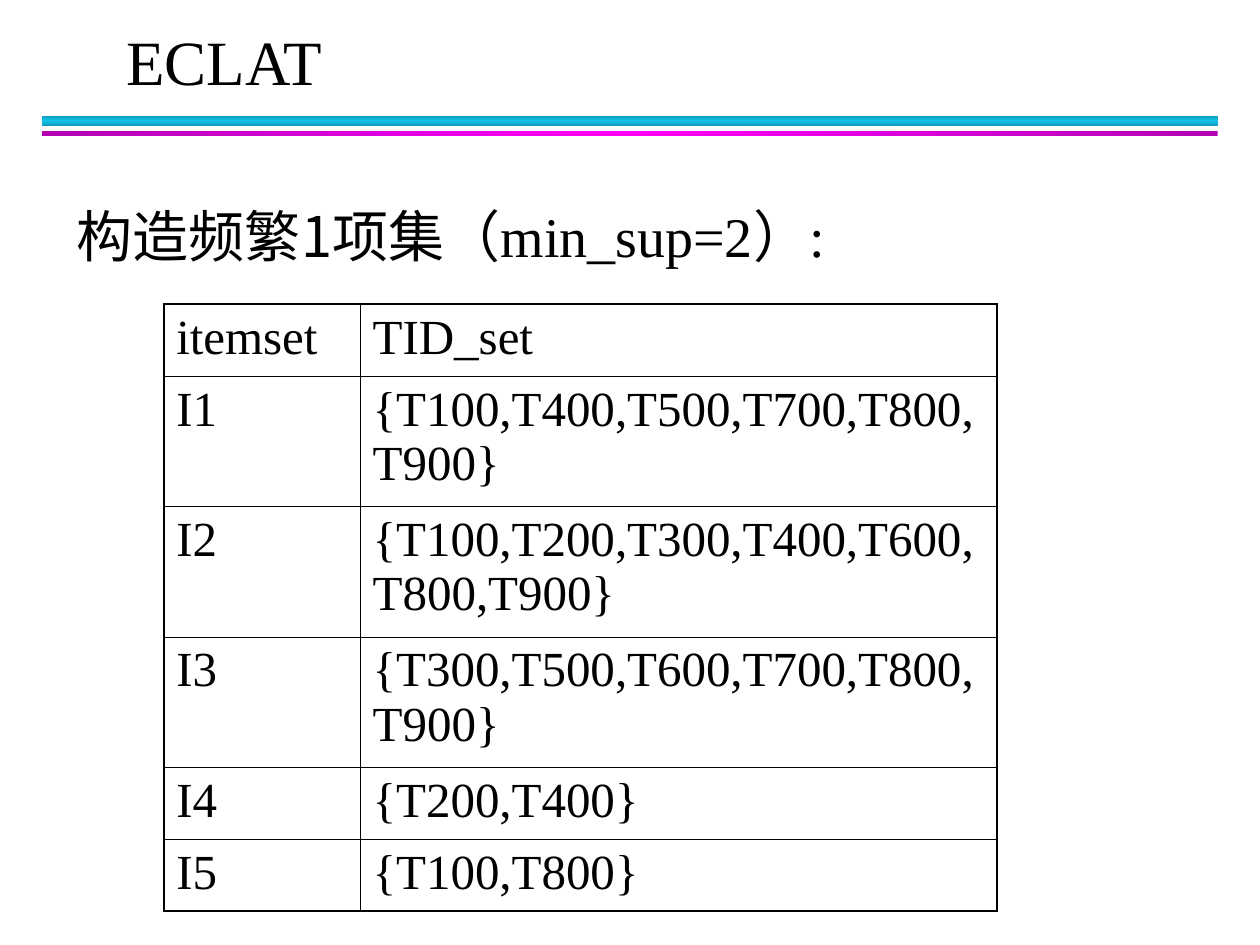
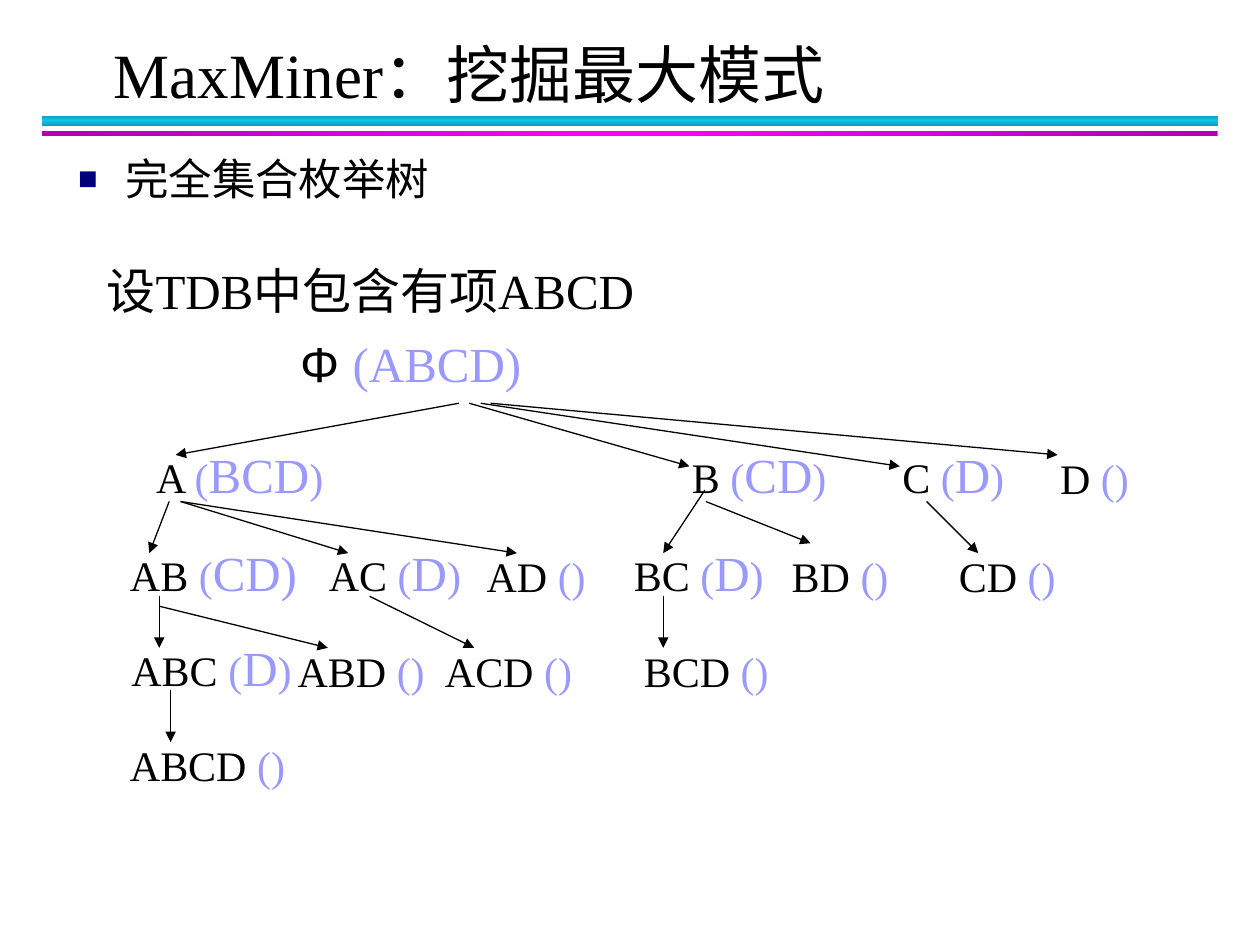
import copy

import lxml.etree
import pptx
import pptx.dml.color
import pptx.enum.shapes
import pptx.enum.text
import pptx.oxml
import pptx.oxml.ns
import pptx.util

Cm = pptx.util.Cm
Pt = pptx.util.Pt
qn = pptx.oxml.ns.qn
ANCHOR = pptx.enum.text.MSO_ANCHOR

COLOURS = {
    "ink": "000000",
    "candidate": "9999FF",
    "bullet": "00007D",
    "cyan edge": "0E9BBA",
    "cyan": "12C2E9",
    "magenta edge": "B200B2",
    "magenta": "FF00FF",
}
SERIF, SANS, CJK = "Times New Roman", "Arial", "Noto Sans CJK SC"

# top, height, edge colour, middle colour, angle
BANDS = [
    (2.33, 0.21, "cyan edge", "cyan", 90),
    (2.64, 0.1, "magenta edge", "magenta", 0),
]

ITEMSETS = [
    ("itemset", "TID_set"),
    ("I1", "{T100,T400,T500,T700,T800,T900}"),
    ("I2", "{T100,T200,T300,T400,T600,T800,T900}"),
    ("I3", "{T300,T500,T600,T700,T800,T900}"),
    ("I4", "{T200,T400}"),
    ("I5", "{T100,T800}"),
]

# Top of each tree level below the root, within the tree
LEVEL_TOPS = [2.24, 4.22, 6.13, 8.03]
# level, items, large candidates, left, width, arrow start x, arrow end x
NODES = [
    (0, "A", "BCD", 0.53, 4.05, 6.88, 1.17),
    (0, "B", "CD", 11.33, 3.35, 7.09, 11.53),
    (0, "C", "D", 15.57, 2.7, 7.32, 15.77),
    (0, "D", "", 18.75, 2.05, 7.52, 18.95),
    (1, "AB", "CD)", 0, 4, 1.04, 0.64),
    (1, "AC", "D", 4.01, 3.3, 1.27, 4.65),
    (1, "AD", "", 7.19, 2.65, 1.27, 8.05),
    (1, "BC", "D", 10.16, 3.25, 11.84, 11),
    (1, "BD", "", 13.34, 2.6, 11.86, 13.97),
    (1, "CD", "", 16.71, 2.6, 16.31, 17.35),
    (2, "ABC", "D", 0.03, 3.85, 0.84, 0.84),
    (2, "ABD", "", 3.38, 3.2, 0.84, 4.24),
    (2, "ACD", "", 6.35, 3.2, 5.08, 7.19),
    (2, "BCD", "", 10.36, 3.15, 11, 11),
    (3, "ABCD", "", 0, 3.75, 1.07, 1.07),
]
# Vertical shifts of arrow start and end that leave the level's rule
ARROW_SHIFTS = {"B": (0, 0.23), "C": (0, 0.23), "BC": (-0.23, 0),
                "BD": (0, -0.2), "ABD": (0.2, 0)}


def rgb(name):
    return pptx.dml.color.RGBColor.from_string(COLOURS[name])


def add_xml(parent, tag, **attributes):
    child = lxml.etree.SubElement(parent, qn(tag))
    for key, value in attributes.items():
        child.set(key, str(value))
    return child


def format_span(span, size, font=SERIF, colour="ink"):
    span.font.size = Pt(size)
    span.font.name = font
    span.font.color.rgb = rgb(colour)
    add_xml(span._r.get_or_add_rPr(), "a:ea", typeface=CJK)


def fill_para(para, *spans):
    """Each span is its text followed by size, font and colour."""
    for text, *look in spans:
        span = para.add_run()
        span.text = text
        format_span(span, *look)


def place(shape, left, top, width, height):
    shape.left, shape.top = Cm(left), Cm(top)
    shape.width, shape.height = Cm(width), Cm(height)


def add_text(page, box, *spans, wrap=True):
    shape = page.shapes.add_textbox(*map(Cm, box))
    shape.text_frame.word_wrap = wrap
    fill_para(shape.text_frame.paragraphs[0], *spans)


def set_placeholder(shape, box, text, size, anchor):
    place(shape, *box)
    frame = shape.text_frame
    frame.text = text
    frame.auto_size = pptx.enum.text.MSO_AUTO_SIZE.NONE
    frame.vertical_anchor = anchor
    para = frame.paragraphs[0]
    para.alignment = pptx.enum.text.PP_ALIGN.LEFT
    para.space_before = Pt(0)
    format_span(para.runs[0], size)
    return para


def add_bands(page):
    for top, height, edge, middle, angle in BANDS:
        band = page.shapes.add_shape(
            pptx.enum.shapes.MSO_SHAPE.RECTANGLE,
            Cm(0.84), Cm(top), Cm(23.71), Cm(height))
        band.shadow.inherit = False
        band.line.fill.background()
        band.fill.gradient()
        band.fill.gradient_angle = angle
        stop_list = band._element.spPr.find(".//" + qn("a:gsLst"))
        stop_list.append(copy.deepcopy(stop_list[0]))
        looks = [(0, edge), (0.5, middle), (1, edge)]
        for stop, (position, colour) in zip(band.fill.gradient_stops, looks):
            stop.position = position
            stop.color.rgb = rgb(colour)


def start_page(deck, layout, title, box, anchor):
    page = deck.slides.add_slide(deck.slide_layouts.get_by_name(layout))
    add_bands(page)
    set_placeholder(page.shapes.title, box, title, 36, anchor)
    return page


def add_borders(cell, outer_sides):
    properties = cell._tc.get_or_add_tcPr()
    for side in "LRTB":
        width = 1.08 if side in outer_sides else 0.45
        line = add_xml(properties, "a:ln" + side, w=int(Pt(width)))
        add_xml(add_xml(line, "a:solidFill"), "a:srgbClr", val=COLOURS["ink"])


def add_itemset_table(page, box):
    last = len(ITEMSETS) - 1
    table = page.shapes.add_table(last + 1, 2, *map(Cm, box)).table
    table.first_row = table.horz_banding = False
    table.columns[0].width = Cm(3.96)
    table.columns[1].width = Cm(box[2] - 3.96)
    for row, texts in enumerate(ITEMSETS):
        two_lines = len(texts[1]) > 20
        table.rows[row].height = Cm(2.63 if two_lines else 1.45)
        for column, text in enumerate(texts):
            cell = table.cell(row, column)
            cell.text = text
            format_span(cell.text_frame.paragraphs[0].runs[0], 28)
            outer = "LR"[column] + {0: "T", last: "B"}.get(row, "")
            add_borders(cell, outer)
            cell.fill.background()


def add_arrow(page, *ends):
    arrow = page.shapes.add_connector(
        pptx.enum.shapes.MSO_CONNECTOR.STRAIGHT, *map(Cm, ends))
    arrow.line.color.rgb = rgb("ink")
    arrow.line.width = Pt(0.75)
    add_xml(arrow.line._get_or_add_ln(), "a:tailEnd", type="triangle")
    add_xml(arrow._element.spPr, "a:effectLst")


def add_enumeration_tree(page, left, top):
    # Root
    add_text(page, (left + 3.43, top, 7.52, 1.45), ("Φ ", 28, SANS),
             ("(ABCD)", 28, SERIF, "candidate"), wrap=False)
    for level, items, large, x, width, start_x, end_x in NODES:
        level_top = top + LEVEL_TOPS[level]
        # Node: its items, then the candidates still to be added
        spans = [(items + " ", 24)]
        if large:
            node_top, height = level_top, 1.45
            spans += [("(", 24, SERIF, "candidate"),
                      (large, 28, SERIF, "candidate")]
            if not large.endswith(")"):
                spans.append((")", 24, SERIF, "candidate"))
        else:
            node_top, height = level_top + 0.15, 1.27
            spans.append(("()", 24, SERIF, "candidate"))
        add_text(page, (left + x, node_top, width, height), *spans, wrap=False)
        # Arrow from the parent
        start_shift, end_shift = ARROW_SHIFTS.get(items, (0, 0))
        add_arrow(page, left + start_x, level_top - 0.71 + start_shift,
                  left + end_x, level_top + 0.33 + end_shift)


def add_bullet_line(page, box, text):
    para = set_placeholder(page.placeholders[1], box, text, 24.8, ANCHOR.TOP)
    para.line_spacing = 0.8
    properties = para._p.get_or_add_pPr()
    properties.set("marL", str(Cm(0.95)))
    properties.set("indent", str(Cm(-0.95)))
    add_xml(add_xml(properties, "a:buClr"), "a:srgbClr", val=COLOURS["bullet"])
    add_xml(properties, "a:buSzPct", val=75000)
    add_xml(properties, "a:buFont", typeface=SANS)
    add_xml(properties, "a:buChar", char="■")


def build_eclat_page(deck):
    page = start_page(deck, "Title Only", "ECLAT",
                      (2.29, 0.33, 17, 1.78), ANCHOR.BOTTOM)
    add_text(page, (1.3, 3.94, 19.2, 1.63),
             ("构造频繁1项集", 32, CJK), ("（min_sup=2）:", 32))
    add_itemset_table(page, (3.3, 6.13, 16.8, 12.24))


def build_maxminer_page(deck):
    page = start_page(deck, "Title and Content", "MaxMiner：挖掘最大模式",
                      (2.04, 0.71, 17.25, 1.52), ANCHOR.MIDDLE)
    add_bullet_line(page, (1.32, 3.15, 22.83, 1.35), "完全集合枚举树")
    add_enumeration_tree(page, 2.37, 6.6)
    add_text(page, (1.9, 5.13, 11.3, 2.64), ("设TDB中包含有项ABCD", 28))


def main():
    deck = pptx.Presentation()
    deck.slide_width, deck.slide_height = Cm(25.4), Cm(19.05)
    build_eclat_page(deck)
    build_maxminer_page(deck)
    deck.save("out.pptx")


if __name__ == "__main__":
    main()
